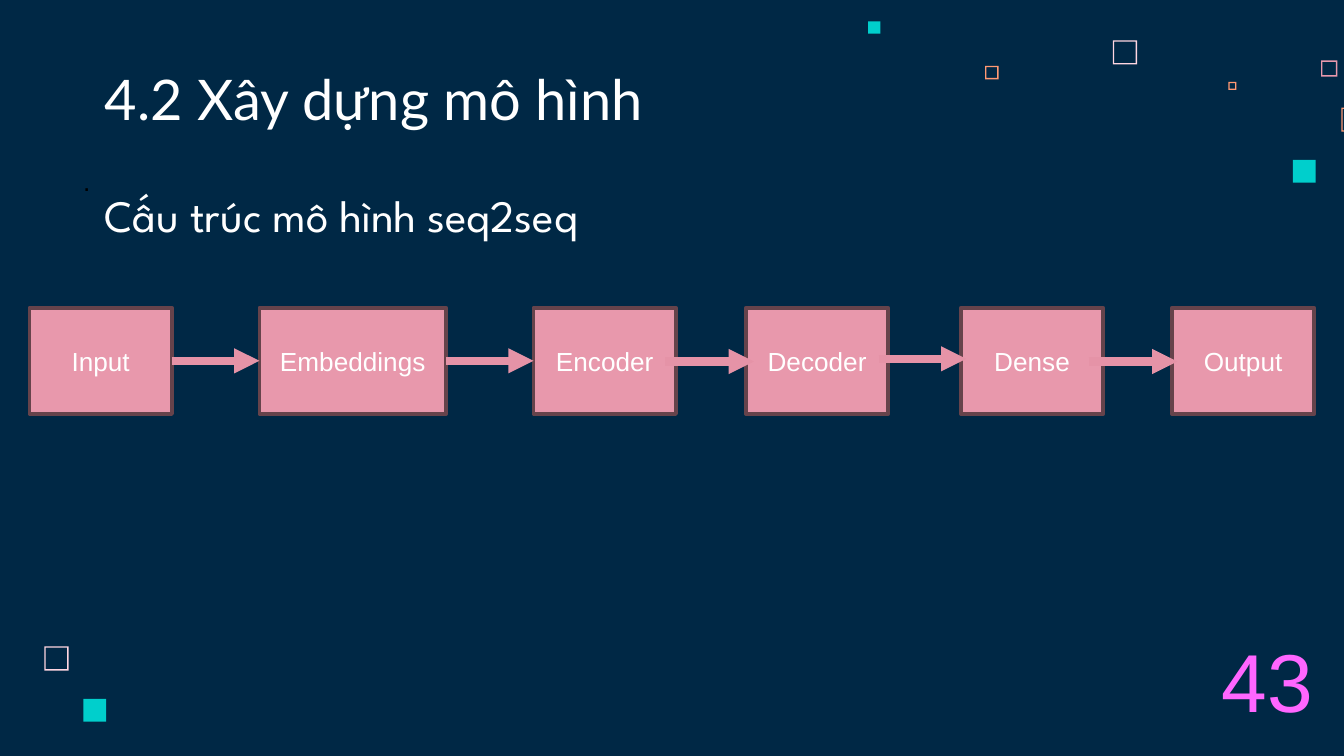
"""Build the slide on the structure of the seq2seq model."""
from lxml.etree import SubElement
from pptx import Presentation
from pptx.dml.color import RGBColor
from pptx.enum.shapes import MSO_CONNECTOR, MSO_SHAPE
from pptx.enum.text import MSO_ANCHOR, MSO_AUTO_SIZE, PP_ALIGN
from pptx.oxml.ns import qn
from pptx.util import Inches, Pt

NAVY = RGBColor(0x00, 0x28, 0x45)
WHITE = RGBColor(0xFF, 0xFF, 0xFF)
BLACK = RGBColor(0x00, 0x00, 0x00)
BLUSH = RGBColor(0xFF, 0xD6, 0xE1)
PINK = RGBColor(0xE8, 0x98, 0xAC)
ROSE = RGBColor(0xE5, 0x93, 0xA7)
MAROON = RGBColor(0x66, 0x43, 0x4B)
ORANGE = RGBColor(0xFF, 0x99, 0x73)
TEAL = RGBColor(0x00, 0xCF, 0xCC)
MAGENTA = RGBColor(0xFF, 0x66, 0xFF)

FRAMES = [
    (8.28, 0.3, 0.18, BLUSH),
    (9.83, 0.45, 0.12, PINK),
    (9.14, 0.61, 0.06, ORANGE),
    (9.98, 0.8, 0.18, ORANGE),
    (7.33, 0.49, 0.1, ORANGE),
    (0.33, 4.81, 0.18, BLUSH),
]
DOTS = [(9.62, 1.19, 0.17), (6.46, 0.16, 0.09), (0.62, 5.2, 0.17)]
STAGES = [
    ("Input", 0.22, 1.06),
    ("Embeddings", 1.93, 1.39),
    ("Encoder", 3.97, 1.06),
    ("Decoder", 5.55, 1.06),
    ("Dense", 7.15, 1.06),
    ("Output", 8.72, 1.06),
]
LOOSE_ARROWS = [(4.95, 5.61, 2.69), (6.54, 7.19, 2.67), (8.1, 8.76, 2.69)]


def write(holder, text, size=14, color=WHITE, font="Arial", align=PP_ALIGN.LEFT,
          anchor=MSO_ANCHOR.TOP, inset=0.1, fit=MSO_AUTO_SIZE.NONE):
    frame = holder.text_frame
    frame.word_wrap = True
    frame.auto_size = fit
    frame.vertical_anchor = anchor
    frame.margin_left = frame.margin_right = Inches(0.1)
    frame.margin_top = frame.margin_bottom = Inches(inset)
    paragraph = frame.paragraphs[0]
    paragraph.alignment = align
    run = paragraph.add_run()
    run.text = text
    run.font.size = Pt(size)
    run.font.name = font
    run.font.color.rgb = color


class Deck:
    def __init__(self):
        self.presentation = Presentation()
        self.presentation.slide_width = Inches(10)
        self.presentation.slide_height = Inches(10) * 9 // 16
        self.slide = self.presentation.slides.add_slide(self.presentation.slide_layouts[5])
        self.shapes = self.slide.shapes
        background = self.slide.background.fill
        background.solid()
        background.fore_color.rgb = NAVY

    def paint(self, shape, color):
        shape.shadow.inherit = False
        shape.fill.solid()
        shape.fill.fore_color.rgb = color
        shape.line.fill.background()

    def title(self, text, left, top, width, height, **style):
        heading = self.shapes.title
        heading.left, heading.top = Inches(left), Inches(top)
        heading.width, heading.height = Inches(width), Inches(height)
        write(heading, text, **style)

    def label(self, text, left, top, width, height, **style):
        box = self.shapes.add_textbox(Inches(left), Inches(top), Inches(width), Inches(height))
        write(box, text, **style)

    def dot(self, left, top, side, color):
        square = self.shapes.add_shape(
            MSO_SHAPE.RECTANGLE, Inches(left), Inches(top), Inches(side), Inches(side))
        self.paint(square, color)

    def frame(self, left, top, side, color, rim=0.01):
        def corners(gap):
            near_x, near_y = Inches(left + gap), Inches(top + gap)
            far_x, far_y = Inches(left + side - gap), Inches(top + side - gap)
            return [(near_x, near_y), (near_x, far_y), (far_x, far_y), (far_x, near_y)]

        outer, inner = corners(0), corners(rim)[::-1]
        builder = self.shapes.build_freeform(*outer[0])
        builder.add_line_segments(outer[1:])
        builder.move_to(*inner[0])
        builder.add_line_segments(inner[1:])
        self.paint(builder.convert_to_shape(), color)

    def stage(self, text, left, width):
        block = self.shapes.add_shape(
            MSO_SHAPE.RECTANGLE, Inches(left), Inches(2.29), Inches(width), Inches(0.79))
        self.paint(block, PINK)
        block.line.color.rgb = MAROON
        block.line.width = Pt(2)
        write(block, text, align=PP_ALIGN.CENTER, anchor=MSO_ANCHOR.MIDDLE, inset=0.05)
        return block

    def arrow(self, start, end, y):
        arrow = self.shapes.add_connector(
            MSO_CONNECTOR.STRAIGHT, Inches(start), Inches(y), Inches(end), Inches(y))
        arrow.line.color.rgb = ROSE
        arrow.line.width = Pt(4.5)
        SubElement(arrow.line._get_or_add_ln(), qn("a:tailEnd"), type="triangle")
        SubElement(arrow._element.spPr, qn("a:effectLst"))
        return arrow

    def link(self, source, target):
        arrow = self.arrow(0, 1, 2.69)
        arrow.begin_connect(source, 3)
        arrow.end_connect(target, 1)


def main():
    deck = Deck()
    for left, top, side, color in FRAMES:
        deck.frame(left, top, side, color)
    for left, top, side in DOTS:
        deck.dot(left, top, side, TEAL)
    deck.title("4.2 Xây dựng mô hình", 0.68, 0.45, 6.87, 0.63,
               size=30, font="Lato", anchor=MSO_ANCHOR.BOTTOM)
    deck.label(".", 0.52, 1.13, 4.99, 2.61, color=BLACK)
    deck.label("Cấu trúc mô hình seq2seq", 0.68, 1.3, 4.99, 2.61,
               size=24, font="League Spartan")
    deck.label("43", 8.99, 4.64, 1.15, 0.84, size=44, color=MAGENTA,
               inset=0.05, fit=MSO_AUTO_SIZE.SHAPE_TO_FIT_TEXT)
    blocks = [deck.stage(*stage) for stage in STAGES]
    for source, target in zip(blocks[:2], blocks[1:3]):
        deck.link(source, target)
    for start, end, y in LOOSE_ARROWS:
        deck.arrow(start, end, y)
    deck.presentation.save("out.pptx")


if __name__ == "__main__":
    main()
